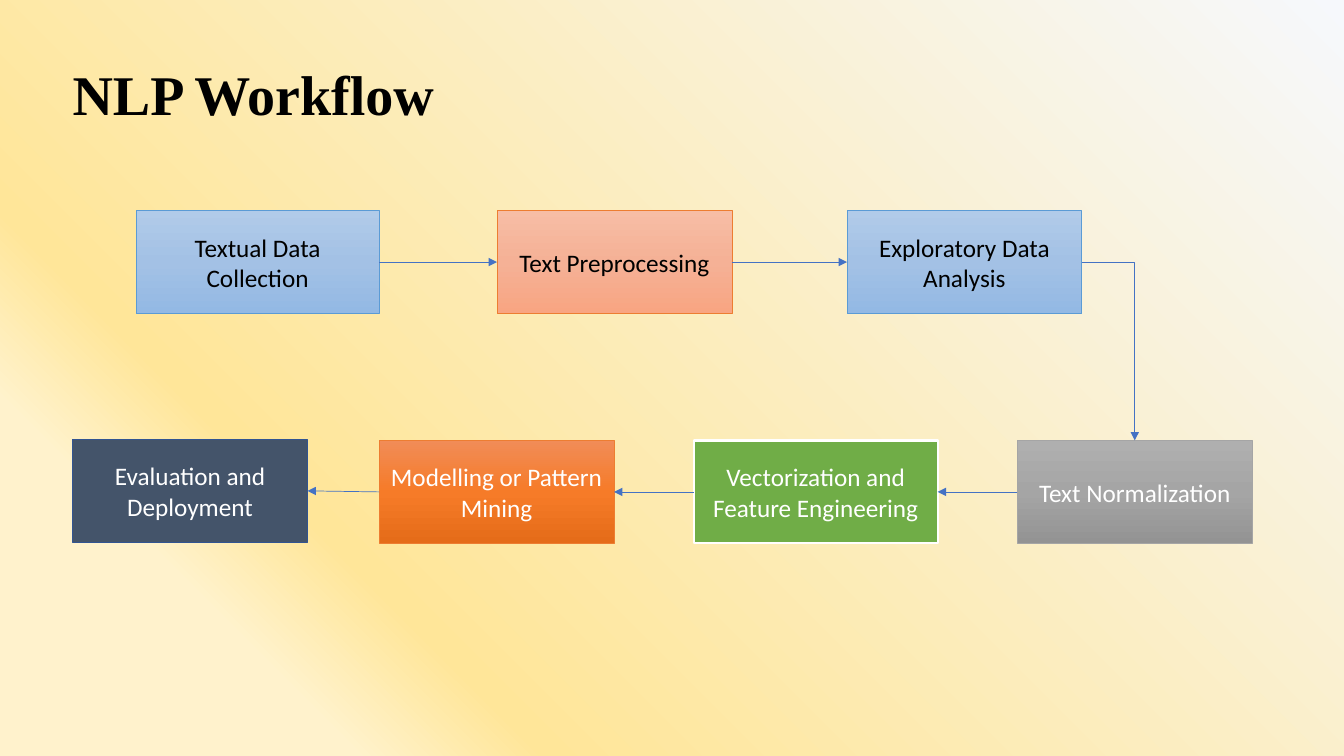
from dataclasses import dataclass

from lxml.etree import SubElement
from pptx import Presentation
from pptx.dml.color import RGBColor
from pptx.enum.shapes import MSO_CONNECTOR, MSO_SHAPE
from pptx.enum.text import MSO_ANCHOR, MSO_AUTO_SIZE, PP_ALIGN
from pptx.oxml.ns import qn
from pptx.util import Inches, Pt


@dataclass(frozen=True)
class Theme:
    title_font: str = "Times New Roman"
    body_font: str = "Calibri"
    title_size: float = 40
    body_size: float = 18
    black: str = "000000"
    white: str = "FFFFFF"
    arrow: str = "4472C4"
    arrow_width: float = 0.5
    background: tuple = ((0, "F6F8FC"), (74, "FFE699"), (83, "FFF2CC"), (100, "FFF2CC"))


@dataclass(frozen=True)
class BoxStyle:
    fills: tuple
    line: str
    text: str
    line_width: float = 0.5


THEME = Theme()
BLUE = BoxStyle(("B1CBE9", "A3C1E5", "93B9E4"), "5B9BD5", THEME.black)
PEACH = BoxStyle(("F7BDA5", "F5B196", "F8A582"), "ED7D31", THEME.black)
GRAY = BoxStyle(("AFAFAF", "A5A5A5", "939393"), "A5A5A5", THEME.white)
GREEN = BoxStyle(("70AD47",), THEME.white, THEME.white, 1.5)
ORANGE = BoxStyle(("F18C57", "F67B28", "E56C19"), "ED7D31", THEME.white)
NAVY = BoxStyle(("44546A",), "325491", THEME.white, 1)

# Connection sites of a rectangle
TOP, LEFT, RIGHT = 0, 1, 3

# Steps in reading order: text, style, left, top, width
BOX_HEIGHT = 1.02
TOP_ROW, BOTTOM_ROW = 2.09, 4.37
STEPS = (
    ("Textual Data Collection", BLUE, 1.35, TOP_ROW, 2.41),
    ("Text Preprocessing", PEACH, 4.93, TOP_ROW, 2.33),
    ("Exploratory Data Analysis", BLUE, 8.4, TOP_ROW, 2.33),
    ("Text Normalization", GRAY, 10.09, BOTTOM_ROW, 2.33),
    ("Vectorization and Feature Engineering", GREEN, 6.88, BOTTOM_ROW, 2.42),
    ("Modelling or Pattern Mining", ORANGE, 3.76, BOTTOM_ROW, 2.33),
    ("Evaluation and Deployment", NAVY, 0.72, BOTTOM_ROW - 0.01, 2.33),
)


def set_gradient(fill, element, stops, clockwise_angle):
    fill.gradient()
    fill.gradient_angle = 360 - clockwise_angle
    stop_list = element.find(".//" + qn("a:gsLst"))
    for old_stop in list(stop_list):
        stop_list.remove(old_stop)
    for position, color in stops:
        stop = SubElement(stop_list, qn("a:gs"), pos=str(position * 1000))
        SubElement(stop, qn("a:srgbClr"), val=color)


def format_font(font, name, size, color, bold=False):
    font.name = name
    font.size = Pt(size)
    font.color.rgb = RGBColor.from_string(color)
    font.bold = bold


def add_title(slide, text, left, top, width, height):
    title = slide.shapes.title
    title.left, title.top = Inches(left), Inches(top)
    title.width, title.height = Inches(width), Inches(height)
    frame = title.text_frame
    frame.text = text
    frame.auto_size = MSO_AUTO_SIZE.NONE
    frame.vertical_anchor = MSO_ANCHOR.MIDDLE
    paragraph = frame.paragraphs[0]
    paragraph.alignment = PP_ALIGN.LEFT
    paragraph.line_spacing = 0.9
    format_font(paragraph.runs[0].font, THEME.title_font, THEME.title_size, THEME.black, True)


def add_step(slide, text, style, left, top, width):
    shape = slide.shapes.add_shape(
        MSO_SHAPE.FLOWCHART_PROCESS,
        Inches(left), Inches(top), Inches(width), Inches(BOX_HEIGHT))
    shape.shadow.inherit = False
    if len(style.fills) == 1:
        shape.fill.solid()
        shape.fill.fore_color.rgb = RGBColor.from_string(style.fills[0])
    else:
        set_gradient(shape.fill, shape.element, zip((0, 50, 100), style.fills), 90)
    shape.line.color.rgb = RGBColor.from_string(style.line)
    shape.line.width = Pt(style.line_width)
    frame = shape.text_frame
    frame.text = text
    frame.word_wrap = True
    frame.vertical_anchor = MSO_ANCHOR.MIDDLE
    paragraph = frame.paragraphs[0]
    paragraph.alignment = PP_ALIGN.CENTER
    format_font(paragraph.runs[0].font, THEME.body_font, THEME.body_size, style.text)
    return shape


def add_arrow(slide, source, source_site, target, target_site):
    turns = target_site == TOP
    kind = MSO_CONNECTOR.ELBOW if turns else MSO_CONNECTOR.STRAIGHT
    connector = slide.shapes.add_connector(kind, 0, 0, 0, 0)
    connector.begin_connect(source, source_site)
    connector.end_connect(target, target_site)
    connector.line.color.rgb = RGBColor.from_string(THEME.arrow)
    connector.line.width = Pt(THEME.arrow_width)
    properties = connector.element.spPr
    if turns:
        # A single corner: across, then down
        properties.find(qn("a:prstGeom")).set("prst", "bentConnector2")
    SubElement(properties.find(qn("a:ln")), qn("a:tailEnd"), type="triangle")
    SubElement(properties, qn("a:effectLst"))


def add_workflow(slide):
    boxes = [add_step(slide, *step) for step in STEPS]
    # Top row runs right, the corner turns down, bottom row runs left
    sites = [(RIGHT, LEFT)] * 2 + [(RIGHT, TOP)] + [(LEFT, RIGHT)] * 3
    for source, target, (source_site, target_site) in zip(boxes, boxes[1:], sites):
        add_arrow(slide, source, source_site, target, target_site)


def main():
    presentation = Presentation()
    presentation.slide_width = Inches(13.33)
    presentation.slide_height = Inches(7.5)
    slide = presentation.slides.add_slide(presentation.slide_layouts[5])
    set_gradient(slide.background.fill, slide.element, THEME.background, 135)
    add_title(slide, "NLP Workflow", 0.62, 0.24, 11.5, 1.45)
    add_workflow(slide)
    presentation.save("out.pptx")


if __name__ == "__main__":
    main()
